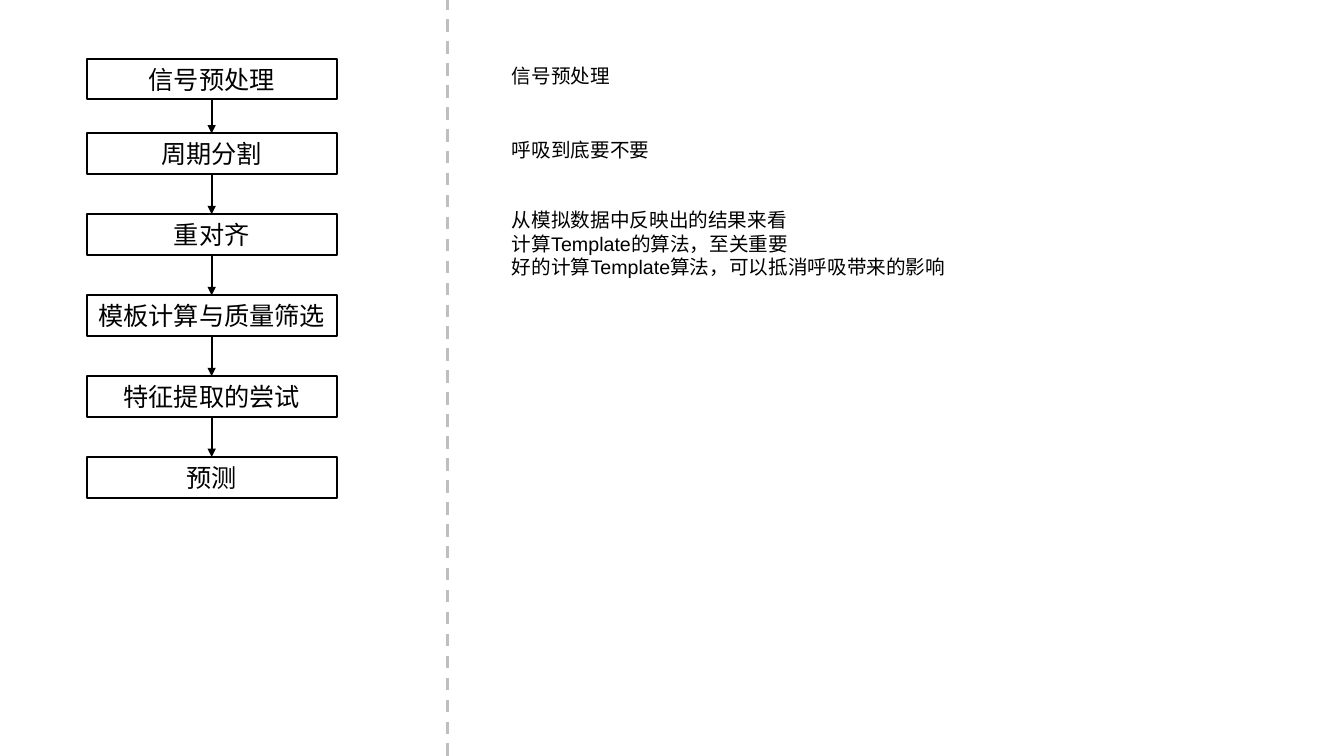
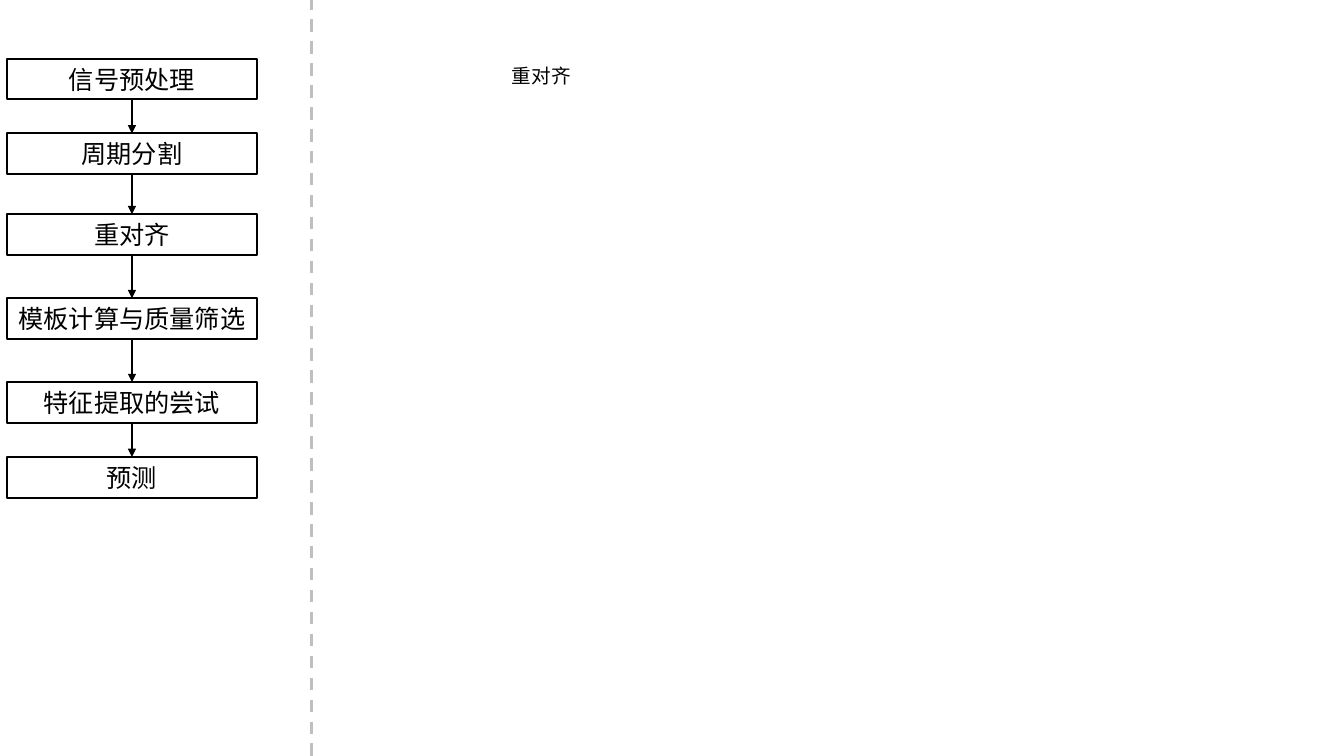
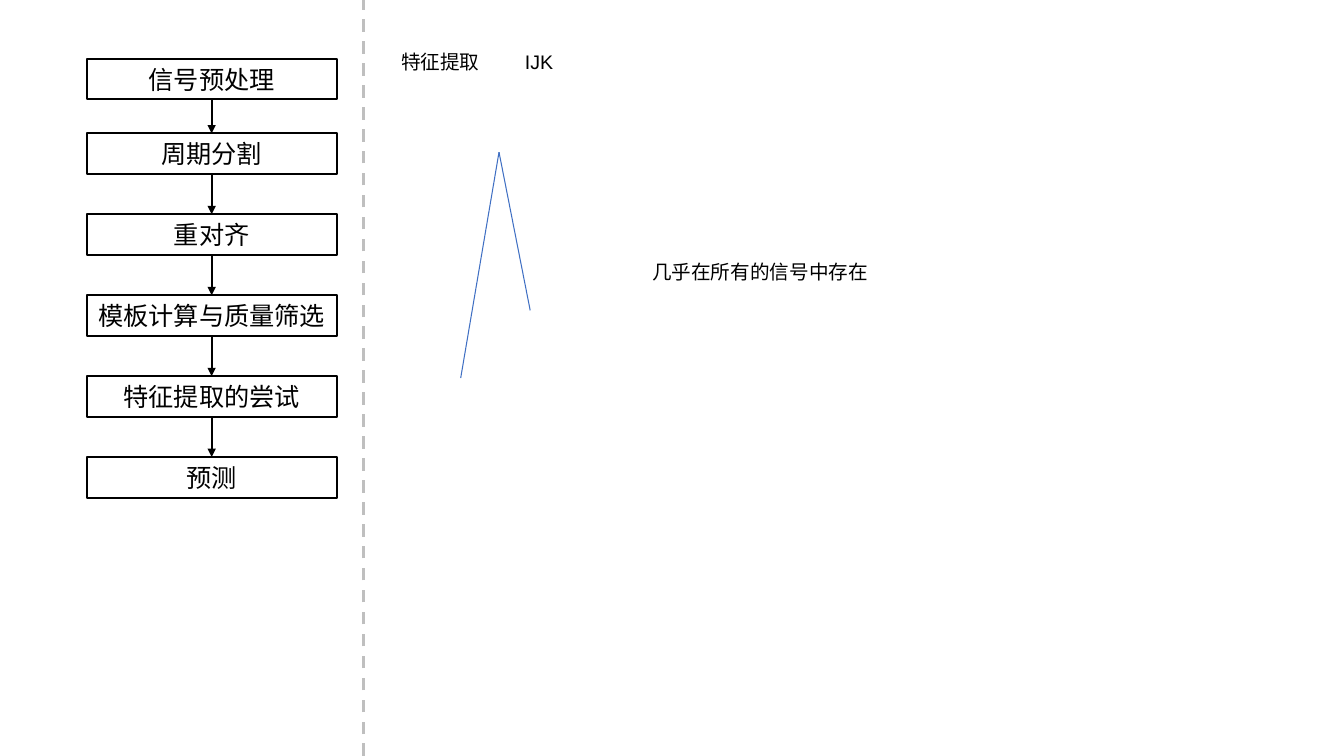
from itertools import pairwise

from lxml import etree
from pptx import Presentation
from pptx.dml.color import RGBColor
from pptx.enum.dml import MSO_LINE
from pptx.enum.shapes import MSO_CONNECTOR, MSO_SHAPE
from pptx.enum.text import MSO_ANCHOR, PP_ALIGN
from pptx.oxml.ns import qn
from pptx.util import Inches, Pt

COLORS = {"ink": "000000", "divider": "BFBFBF", "peak": "3F6FC3"}

prs = Presentation()
prs.slide_width, prs.slide_height = Inches(13.33), Inches(7.5)

# Grid of 100 columns by 100 rows
COL, ROW = prs.slide_width / 100, prs.slide_height / 100
BOX_W, BOX_H = 18.6, 5.38
NOTE_H = 4.53
TOP, SECOND, THIRD, LAST = 7.75, 17.65, 28.35, 60.45

STEPS = ["信号预处理", "周期分割", "重对齐", "模板计算与质量筛选", "特征提取的尝试", "预测"]

# Each note: left, top, width, height in grid units, then groups of lines
SLIDES = [
    {"left": 6.45, "pitch": 10.7, "divider": 33.3, "peak": [], "notes": [
        (37.35, TOP, 20.78, NOTE_H, [["信号预处理"]]),
        (37.35, SECOND, 59.55, 20.13, [
            ["呼吸到底要不要"],
            ["从模拟数据中反映出的结果来看",
             "计算Template的算法，至关重要",
             "好的计算Template算法，可以抵消呼吸带来的影响"]])]},
    {"left": 0.52, "pitch": 11.1, "divider": 23.18, "peak": [], "notes": [
        (37.35, TOP, 20.78, NOTE_H, [["重对齐"]])]},
    {"left": 6.45, "pitch": 10.7, "divider": 27.08,
     "peak": [(34.28, 50), (37.13, 20.13), (39.45, 41.07)], "notes": [
         (29.1, 6, 8.25, NOTE_H, [["特征提取"]]),
         (38.32, 6, 6.15, NOTE_H, [["IJK"]]),
         (47.78, 33.73, 40.65, NOTE_H, [["几乎在所有的信号中存在"]])]},
]


def write(sp, groups, size=14, font="Arial", align=PP_ALIGN.LEFT,
          anchor=MSO_ANCHOR.TOP, group_gap=33):
    """Fill a shape with groups of lines, setting the groups apart by group_gap points."""
    tf = sp.text_frame
    tf.word_wrap = True
    tf.vertical_anchor = anchor
    tf.text = "\n".join(line for group in groups for line in group)
    for p in tf.paragraphs:
        p.alignment = align
        for r in p.runs:
            r.font.size, r.font.name = Pt(size), font
            r.font.color.rgb = RGBColor.from_string(COLORS["ink"])
    start = 0
    for group in groups[:-1]:
        start += len(group)
        tf.paragraphs[start].space_before = Pt(group_gap)


def draw_line(s, start, end, color, width, dash=None, arrow=False):
    """Draw a straight line between two grid points."""
    cx = s.shapes.add_connector(
        MSO_CONNECTOR.STRAIGHT, int(start[0] * COL), int(start[1] * ROW),
        int(end[0] * COL), int(end[1] * ROW))
    cx.line.color.rgb = RGBColor.from_string(COLORS[color])
    cx.line.width = Pt(width)
    if dash:
        cx.line.dash_style = dash
    if arrow:
        etree.SubElement(cx.line._get_or_add_ln(), qn("a:tailEnd"), type="triangle")
    etree.SubElement(cx._element.spPr, qn("a:effectLst"))
    return cx


for page in SLIDES:
    s = prs.slides.add_slide(prs.slide_layouts[6])

    tops = [TOP, SECOND, *(THIRD + i * page["pitch"] for i in range(3)), LAST]
    boxes = []
    for step, top in zip(STEPS, tops):
        sp = s.shapes.add_shape(
            MSO_SHAPE.RECTANGLE, int(page["left"] * COL), int(top * ROW),
            int(BOX_W * COL), int(BOX_H * ROW))
        sp.shadow.inherit = False
        sp.fill.background()
        sp.line.color.rgb = RGBColor.from_string(COLORS["ink"])
        sp.line.width = Pt(1.5)
        write(sp, [[step]], size=18, font="DejaVu Sans Mono",
              align=PP_ALIGN.CENTER, anchor=MSO_ANCHOR.MIDDLE)
        boxes.append(sp)

    middle = page["left"] + BOX_W / 2
    for (upper, y1), (lower, y2) in pairwise(zip(boxes, tops)):
        cx = draw_line(s, (middle, y1 + BOX_H), (middle, y2), "ink", 1.5, arrow=True)
        cx.begin_connect(upper, 2)
        cx.end_connect(lower, 0)

    draw_line(s, (page["divider"], 100), (page["divider"], 0), "divider", 2.25,
              dash=MSO_LINE.DASH)

    for left, top, width, height, groups in page["notes"]:
        note = s.shapes.add_textbox(int(left * COL), int(top * ROW),
                                    int(width * COL), int(height * ROW))
        write(note, groups)

    for start, end in pairwise(page["peak"]):
        draw_line(s, start, end, "peak", 0.75)

prs.save("out.pptx")
